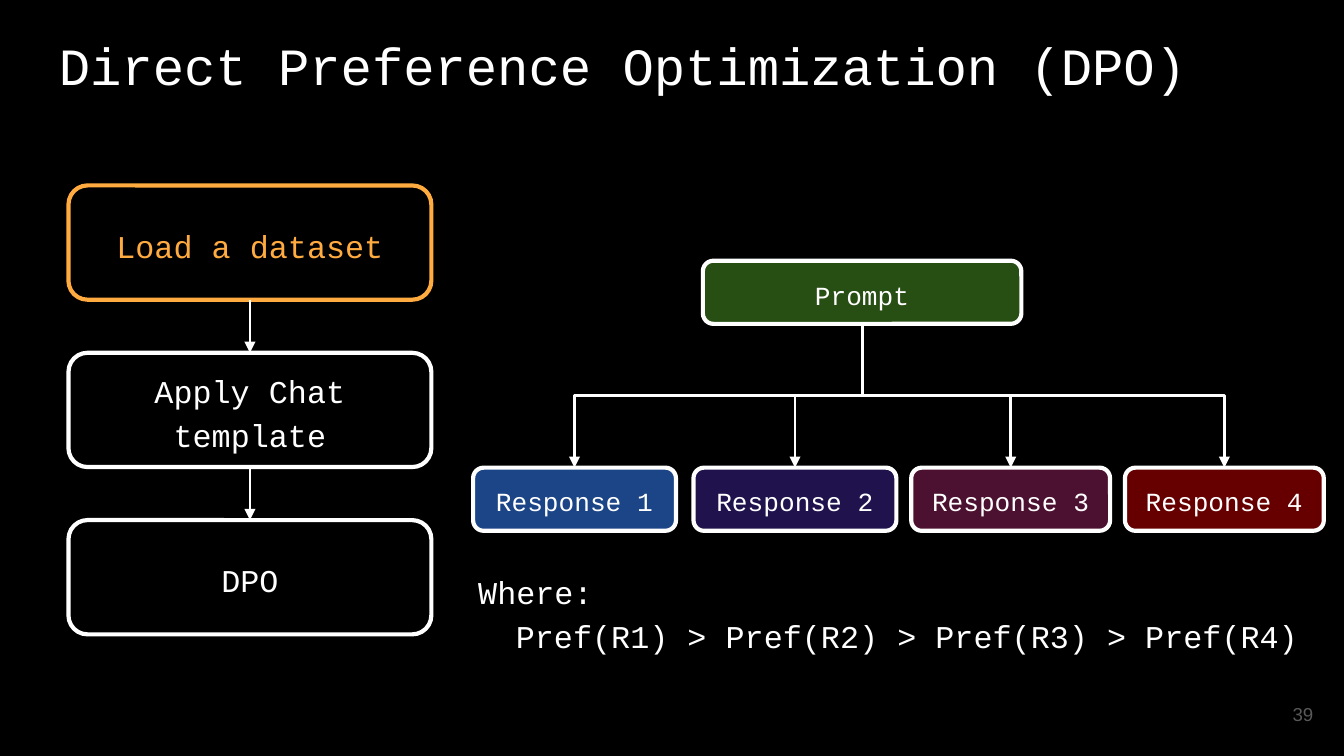
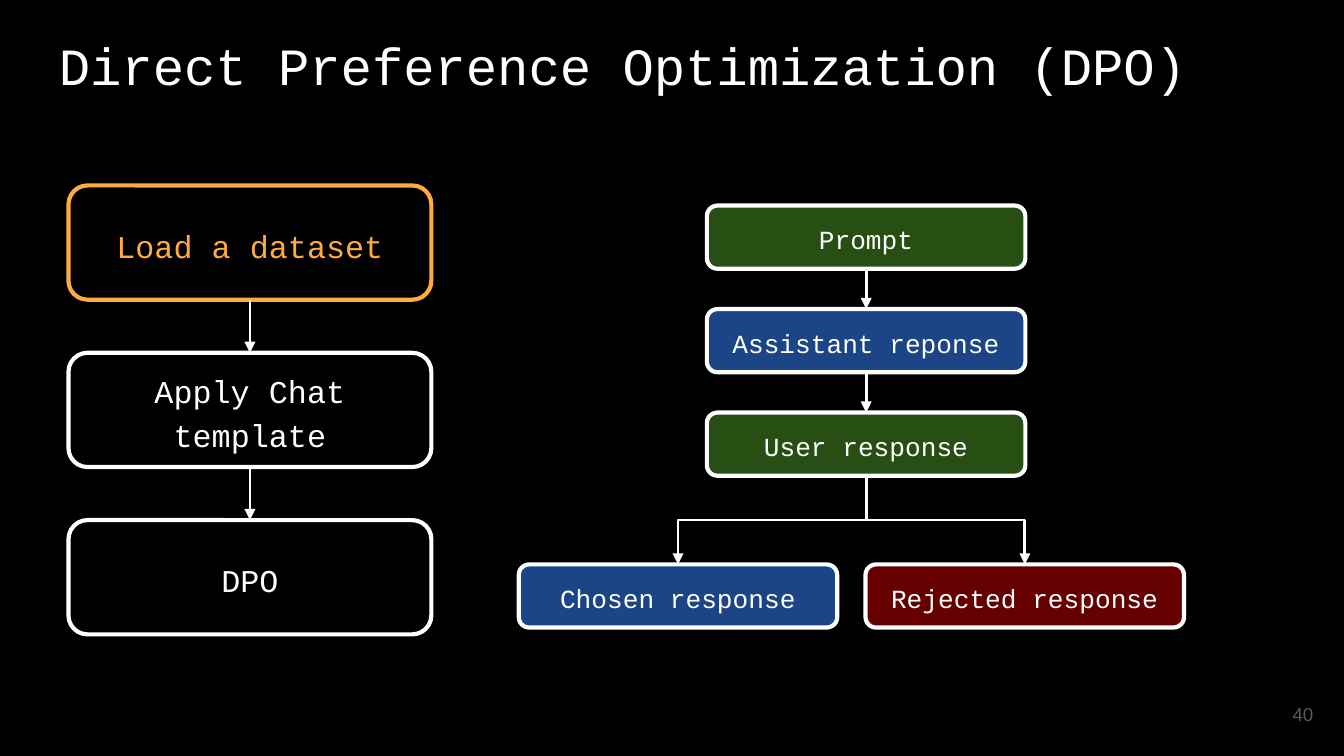
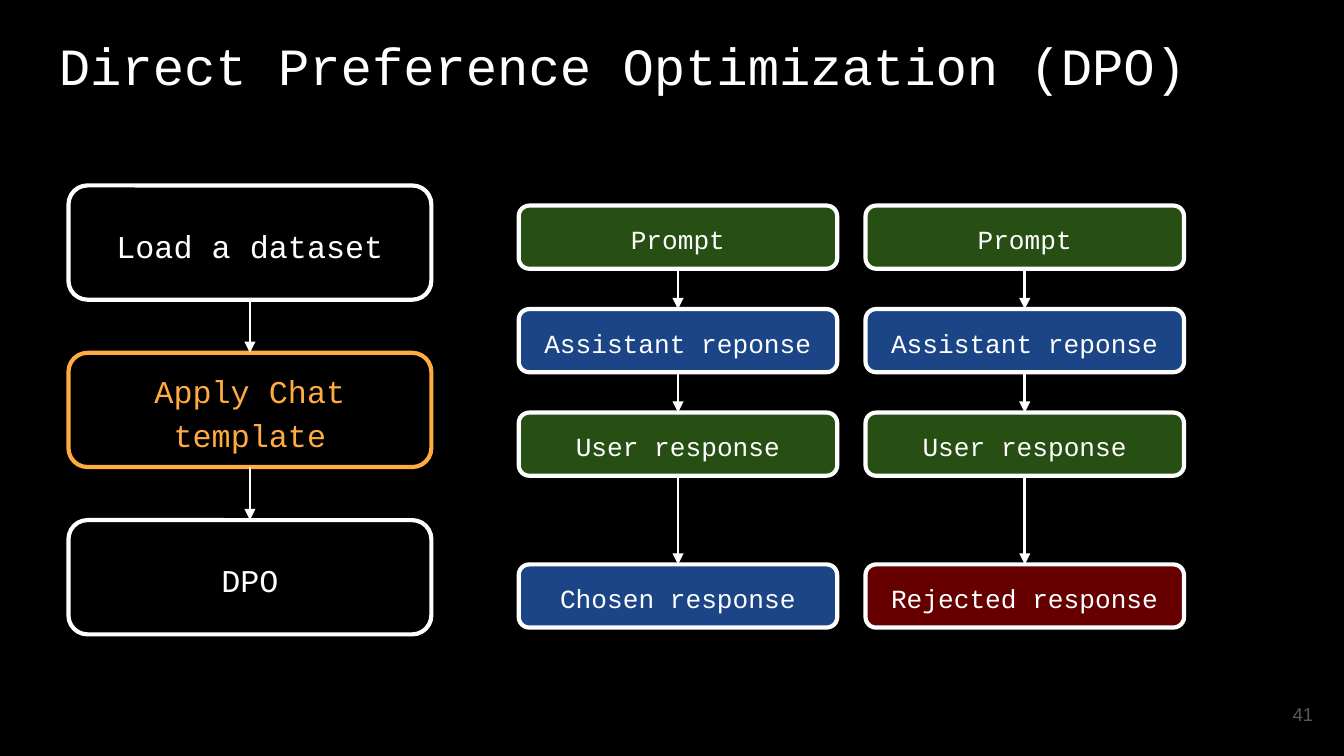
from collections import namedtuple
from itertools import pairwise

from lxml.etree import SubElement
from pptx import Presentation
from pptx.dml.color import RGBColor
from pptx.enum.shapes import MSO_CONNECTOR as Link, MSO_SHAPE as Preset
from pptx.enum.text import MSO_ANCHOR as Anchor, PP_ALIGN as Align
from pptx.oxml.ns import qn
from pptx.util import Inches, Pt

# Shared look
BLACK, WHITE, ORANGE, GREY = "000000", "FFFFFF", "FFAB40", "595959"
GREEN, BLUE, INDIGO, PLUM, RED = "274E13", "1C4587", "20124D", "4C1130", "660000"
MONO, SANS = "Courier New", "Arial"
TITLE = "Direct Preference Optimization (DPO)"
STEPS = ["Load a dataset", "Apply Chat template", "DPO"]
FIRST_PAGE = 39
PAGE_WIDTH = 10
PAGE_HEIGHT = PAGE_WIDTH * 9 / 16

# Conversation messages
TURNS = [("Prompt", GREEN), ("Assistant reponse", BLUE), ("User response", GREEN)]
OUTCOMES = [("Chosen response", BLUE), ("Rejected response", RED)]
TURN_PITCH, NODE_HEIGHT = 0.77, 0.47

Box = namedtuple("Box", "left top width height")
FLOW_BOX = Box(0.51, 1.38, 2.7, 3.34)
RANKING_BOX = Box(3.46, 1.94, 6.41, 3.03)
DIALOG_BOX = Box(3.86, 1.53, 4.95, 3.14)
MESSAGE_WIDTH = 2.37


def color(value):
    return RGBColor.from_string(value)


def inches(box):
    return [Inches(length) for length in box]


def write(shape, lines, size, ink=WHITE, font=MONO, align=Align.LEFT,
          anchor=Anchor.TOP, spacing=None):
    frame = shape.text_frame
    frame.word_wrap = True
    frame.vertical_anchor = anchor
    frame.margin_left = frame.margin_right = Inches(0.1)
    frame.margin_top = frame.margin_bottom = Inches(0.1)
    frame.text = "\n".join(lines)
    for para in frame.paragraphs:
        para.alignment = align
        para.line_spacing = spacing
        para.font.name, para.font.size = font, Pt(size)
        para.font.color.rgb = color(ink)
    return frame


def add_text(page, box, lines, size, **style):
    return write(page.shapes.add_textbox(*inches(box)), lines, size, **style)


def add_node(page, box, label, fill=None, ink=WHITE, outline=WHITE, size=14):
    node = page.shapes.add_shape(Preset.ROUNDED_RECTANGLE, *inches(box))
    node.shadow.inherit = False
    if fill:
        node.fill.solid()
        node.fill.fore_color.rgb = color(fill)
    else:
        node.fill.background()
    node.line.color.rgb = color(outline)
    node.line.width = Pt(2.25)
    write(node, [label], size, ink=ink, align=Align.CENTER,
          anchor=Anchor.MIDDLE, spacing=1.15)
    return node


def add_arrow(page, source, target, bent=False):
    """Join the bottom of source to the top of target."""
    kind = Link.ELBOW if bent else Link.STRAIGHT
    arrow = page.shapes.add_connector(kind, 0, 0, 0, 0)
    arrow.begin_connect(source, 2)
    arrow.end_connect(target, 0)
    arrow.line.color.rgb = color(WHITE)
    arrow.line.width = Pt(1.5)
    props = arrow._element.spPr
    SubElement(props.get_or_add_ln(), qn("a:tailEnd"), type="triangle")
    SubElement(props, qn("a:effectLst"))
    if bent:
        turn_elbow(arrow)


def turn_elbow(arrow):
    """Rotate an elbow by a quarter turn so that it leaves downwards."""
    across, down = arrow.width, arrow.height
    rightward = arrow.end_x > arrow.begin_x
    arrow.left, arrow.top = (arrow.left + (across - down) // 2,
                             arrow.top + (down - across) // 2)
    arrow.width, arrow.height = down, across
    xfrm = arrow._element.spPr.xfrm
    xfrm.flipH = rightward
    xfrm.set("rot", str((270 if rightward else 90) * 60000))


def add_flow(page, box, current):
    """Training steps, with the current one highlighted."""
    height = 0.85
    pitch = (box.height - height) / (len(STEPS) - 1)
    nodes = []
    for row, step in enumerate(STEPS):
        ink = ORANGE if row == current else WHITE
        place = Box(box.left, box.top + row * pitch, box.width, height)
        nodes.append(add_node(page, place, step, ink=ink, outline=ink, size=17))
    for upper, lower in pairwise(nodes):
        add_arrow(page, upper, lower)


def add_ranking(page, box):
    """One prompt, four ranked responses and their order."""
    prompt = add_node(page, Box(box.left + 1.77, box.top, MESSAGE_WIDTH, NODE_HEIGHT),
                      "Prompt", GREEN)
    columns = [(0.06, 1.51, BLUE), (1.7, 1.51, INDIGO), (3.32, 1.48, PLUM), (4.91, 1.48, RED)]
    for number, (offset, width, fill) in enumerate(columns, 1):
        place = Box(box.left + offset, box.top + 1.54, width, NODE_HEIGHT)
        add_arrow(page, prompt, add_node(page, place, f"Response {number}", fill), bent=True)
    order = " > ".join(f"Pref(R{number})" for number in range(1, len(columns) + 1))
    note = add_text(page, Box(box.left, box.top + 2.18, box.width, 0.85),
                    ["Where:", order], 17, spacing=1.15)
    note.paragraphs[1]._p.get_or_add_pPr().set("marL", str(Inches(0.28)))


def add_turns(page, left, top):
    """Chain of messages; returns the last one."""
    nodes = [add_node(page, Box(left, top + row * TURN_PITCH, MESSAGE_WIDTH, NODE_HEIGHT),
                      label, fill)
             for row, (label, fill) in enumerate(TURNS)]
    for upper, lower in pairwise(nodes):
        add_arrow(page, upper, lower)
    return nodes[-1]


def add_dialogs(page, box, shared):
    """Both outcomes, after one shared chain or a chain each."""
    lefts = [box.left, box.left + box.width - MESSAGE_WIDTH]
    if shared:
        ends = [add_turns(page, box.left + 1.4, box.top)] * 2
    else:
        ends = [add_turns(page, left, box.top) for left in lefts]
    top = box.top + box.height - NODE_HEIGHT
    for left, end, (label, fill) in zip(lefts, ends, OUTCOMES):
        outcome = add_node(page, Box(left, top, MESSAGE_WIDTH, NODE_HEIGHT), label, fill)
        add_arrow(page, end, outcome, bent=shared)


def add_page(deck, current):
    """Page with title, number and training steps."""
    page = deck.slides.add_slide(deck.slide_layouts[6])
    number = FIRST_PAGE + len(deck.slides) - 1
    add_text(page, Box(0.34, 0.15, 9.32, 0.63), [TITLE], 28)
    add_text(page, Box(9.27, 5.1, 0.6, 0.43), [str(number)], 10, ink=GREY, font=SANS,
             align=Align.RIGHT, anchor=Anchor.MIDDLE)
    add_flow(page, FLOW_BOX, current)
    return page


def main():
    deck = Presentation()
    deck.slide_width, deck.slide_height = Inches(PAGE_WIDTH), Inches(PAGE_HEIGHT)
    backdrop = deck.slide_master.background.fill
    backdrop.solid()
    backdrop.fore_color.rgb = color(BLACK)

    add_ranking(add_page(deck, current=0), RANKING_BOX)
    add_dialogs(add_page(deck, current=0), DIALOG_BOX, shared=True)
    add_dialogs(add_page(deck, current=1), DIALOG_BOX, shared=False)
    deck.save("out.pptx")


if __name__ == "__main__":
    main()
